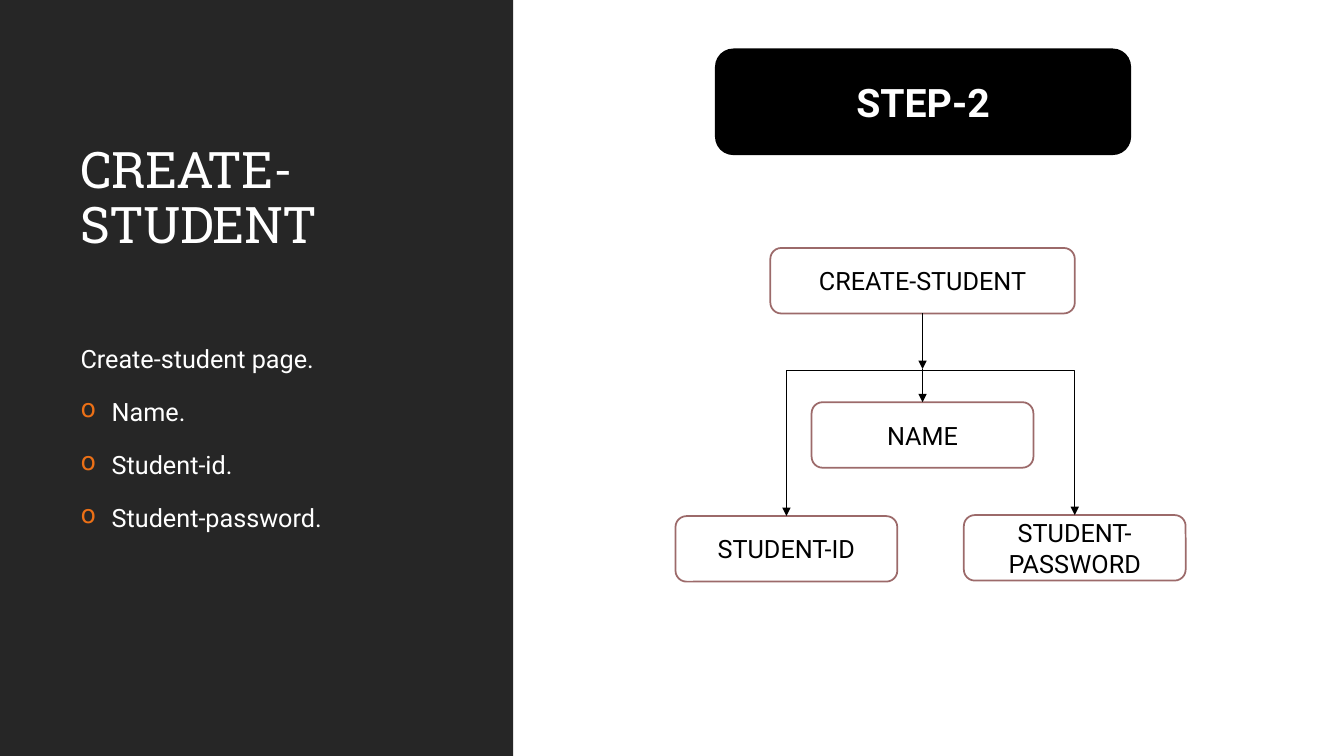
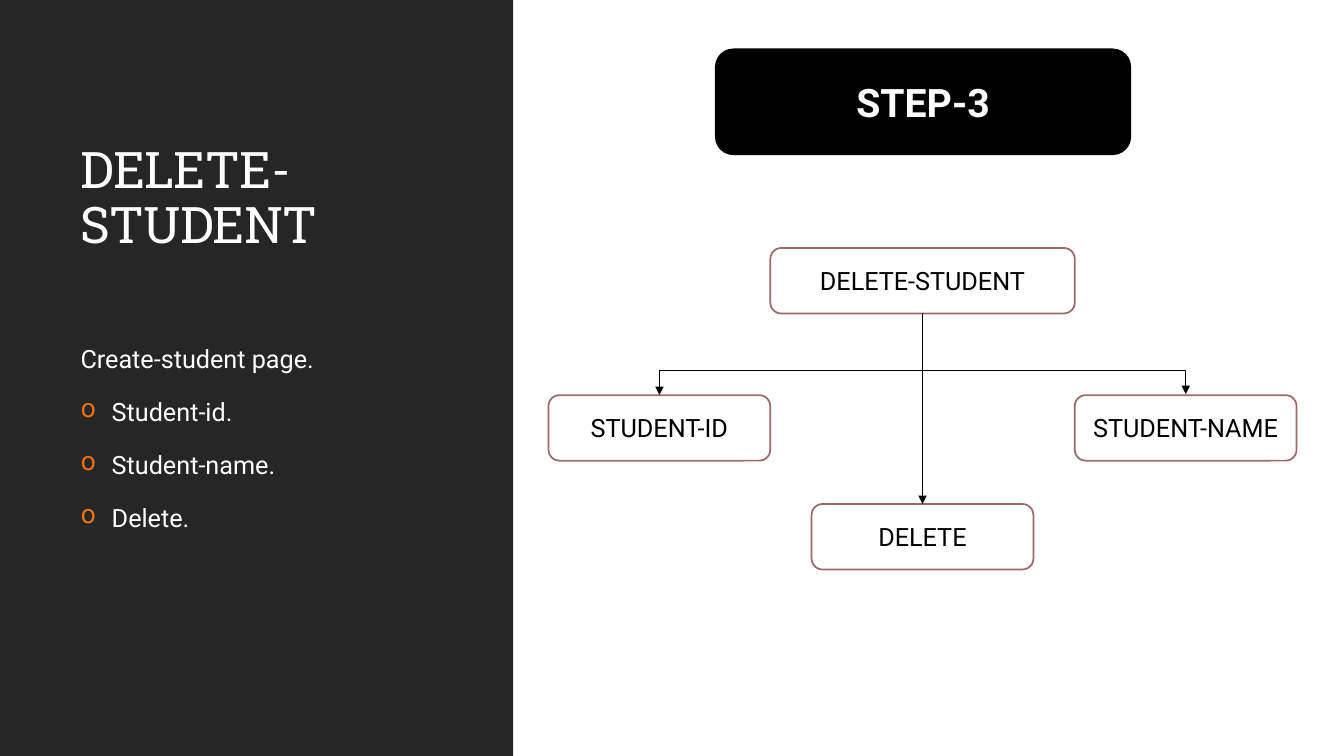
"""Build two slides that each pair a dark text panel with a small page flowchart."""
from dataclasses import dataclass
from itertools import pairwise

from lxml.etree import SubElement
from pptx import Presentation
from pptx.dml.color import RGBColor
from pptx.enum.shapes import MSO_CONNECTOR, MSO_SHAPE
from pptx.enum.text import MSO_ANCHOR, MSO_AUTO_SIZE, PP_ALIGN
from pptx.oxml.ns import qn
from pptx.util import Pt


@dataclass(frozen=True)
class Theme:
    panel: RGBColor = RGBColor.from_string("262626")
    white: RGBColor = RGBColor.from_string("FFFFFF")
    black: RGBColor = RGBColor.from_string("000000")
    outline: RGBColor = RGBColor.from_string("9C6A6A")
    bullet: str = "EC7016"
    heading_font: str = "Roboto Slab"
    text_font: str = "Roboto"
    title_size: Pt = Pt(36)
    step_size: Pt = Pt(28)
    text_size: Pt = Pt(18)


theme = Theme()
PX = 9144
WIDTH, HEIGHT = 1333, 750
PANEL_WIDTH = 509
TEXT_LEFT, TEXT_WIDTH = 70, 385
CENTER = 915
ROOT_TOP, ROOT_WIDTH = 246, 302
BOX_WIDTH, BOX_HEIGHT = 220, 65
BULLET_INDENT = 31

PAGES = [
    {
        "title": "CREATE-STUDENT",
        "step": "STEP-2",
        "items": ["Name.", "Student-id.", "Student-password."],
        "left": ("STUDENT-ID", 780, 512),
        "middle": ("NAME", CENTER, 399),
        "right": ("STUDENT-PASSWORD", 1066, 511),
        "branch_top": 365,
        "joints": [366],
    },
    {
        "title": "DELETE-STUDENT",
        "step": "STEP-3",
        "items": ["Student-id.", "Student-name.", "Delete."],
        "left": ("STUDENT-ID", 654, 392),
        "middle": ("DELETE", CENTER, 500),
        "right": ("STUDENT-NAME", 1176, 392),
        "branch_top": 367,
        "joints": [],
    },
]


def add_box(slide, text, center, top, width=BOX_WIDTH, height=BOX_HEIGHT, is_step=False):
    """Add a rounded box centred on a column."""
    shape = slide.shapes.add_shape(
        MSO_SHAPE.ROUNDED_RECTANGLE,
        (center - width // 2) * PX, top * PX, width * PX, height * PX,
    )
    shape.shadow.inherit = False
    shape.fill.solid()
    shape.fill.fore_color.rgb = theme.black if is_step else theme.white
    shape.line.color.rgb = theme.black if is_step else theme.outline
    shape.line.width = Pt(1.25)
    frame = shape.text_frame
    frame.text = text
    frame.word_wrap = True
    frame.vertical_anchor = MSO_ANCHOR.MIDDLE
    paragraph = frame.paragraphs[0]
    paragraph.alignment = PP_ALIGN.CENTER
    paragraph.font.name = theme.text_font
    paragraph.font.size = theme.step_size if is_step else theme.text_size
    paragraph.font.bold = is_step
    paragraph.font.color.rgb = theme.white if is_step else theme.black
    return shape


def add_arrow(slide, kind, begin, end, heads=("tailEnd",)):
    """Add a black connector with triangle heads."""
    connector = slide.shapes.add_connector(kind, *(int(value * PX) for value in (*begin, *end)))
    connector.line.color.rgb = theme.black
    connector.line.width = Pt(1)
    line = connector.element.find(".//" + qn("a:ln"))
    for head in heads:
        SubElement(line, qn("a:" + head), type="triangle")
    SubElement(connector.element.spPr, qn("a:effectLst"))
    return connector


presentation = Presentation()
presentation.slide_width = WIDTH * PX
presentation.slide_height = HEIGHT * PX

for page in PAGES:
    slide = presentation.slides.add_slide(presentation.slide_layouts[5])

    title = slide.shapes.title
    title.left, title.top = TEXT_LEFT * PX, 86 * PX
    title.width, title.height = TEXT_WIDTH * PX, 171 * PX
    frame = title.text_frame
    frame.text = page["title"]
    frame.word_wrap = True
    frame.auto_size = MSO_AUTO_SIZE.NONE
    frame.vertical_anchor = MSO_ANCHOR.BOTTOM
    paragraph = frame.paragraphs[0]
    paragraph.alignment = PP_ALIGN.LEFT
    paragraph.line_spacing = 0.9
    paragraph.font.name = theme.heading_font
    paragraph.font.size = theme.title_size
    paragraph.font.color.rgb = theme.white
    title.element.find(".//" + qn("a:defRPr")).set("spc", "-50")

    panel = slide.shapes.add_shape(MSO_SHAPE.RECTANGLE, 0, 0, PANEL_WIDTH * PX, HEIGHT * PX)
    panel.shadow.inherit = False
    panel.fill.solid()
    panel.fill.fore_color.rgb = theme.panel
    panel.line.fill.background()
    title.element.addprevious(panel.element)

    body = slide.shapes.add_textbox(TEXT_LEFT * PX, 333 * PX, TEXT_WIDTH * PX, 335 * PX)
    frame = body.text_frame
    frame.word_wrap = True
    frame.text = "\n".join(["Create-student page.", *page["items"]])
    for paragraph in frame.paragraphs:
        paragraph.line_spacing = 1.1
        paragraph.space_before = Pt(12)
        paragraph.space_after = Pt(2)
    for properties in list(body.element.iter(qn("a:pPr")))[1:]:
        properties.set("marL", str(BULLET_INDENT * PX))
        properties.set("indent", str(-BULLET_INDENT * PX))
        color = SubElement(properties, qn("a:buClr"))
        SubElement(color, qn("a:srgbClr"), val=theme.bullet)
        SubElement(properties, qn("a:buChar"), char="o")
    for paragraph in frame.paragraphs:
        paragraph.font.name = theme.text_font
        paragraph.font.size = theme.text_size
        paragraph.font.color.rgb = theme.white

    add_box(slide, page["step"], CENTER, 49, 411, 104, is_step=True)
    root = add_box(slide, page["title"], CENTER, ROOT_TOP, ROOT_WIDTH)
    add_box(slide, *page["left"])
    middle = add_box(slide, *page["middle"])
    add_box(slide, *page["right"])

    left_center, left_top = page["left"][1:]
    right_center = page["right"][1]
    branch_center = (left_center + right_center) / 2
    half_span = (right_center - left_center) / 2
    branch = add_arrow(
        slide, MSO_CONNECTOR.ELBOW,
        (branch_center + 0.5, left_top - 0.5 + half_span),
        (branch_center - 0.5, left_top - 0.5 - half_span),
        heads=("headEnd", "tailEnd"),
    )
    branch.element.find(".//" + qn("a:xfrm")).set("rot", str(90 * 60000))
    rise = (left_top - page["branch_top"]) * 100000
    SubElement(branch.element.find(".//" + qn("a:avLst")), qn("a:gd"), name="adj1", fmla=f"val {rise}")

    stops = [ROOT_TOP + BOX_HEIGHT, *page["joints"], page["middle"][2]]
    trunk = [
        add_arrow(slide, MSO_CONNECTOR.STRAIGHT, (CENTER, top), (CENTER, bottom))
        for top, bottom in pairwise(stops)
    ]
    trunk[0].begin_connect(root, 2)
    trunk[-1].end_connect(middle, 0)

presentation.save("out.pptx")
